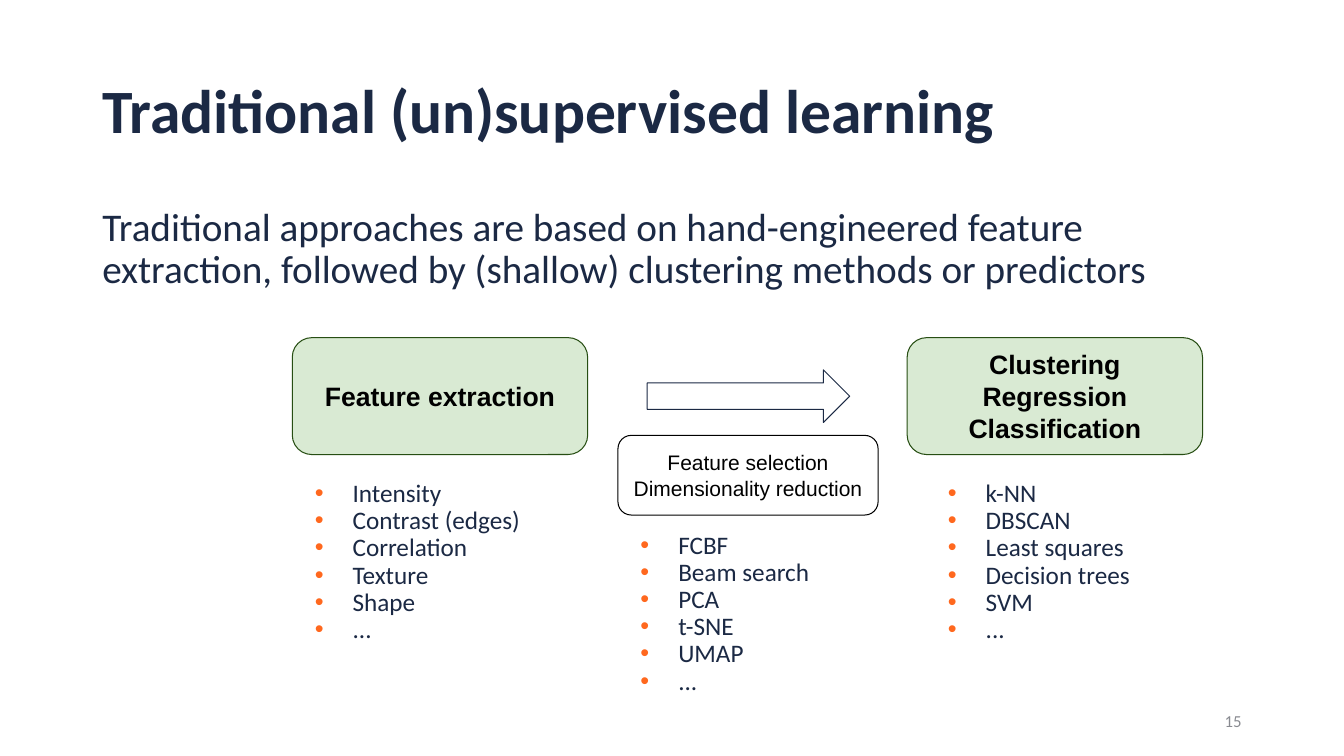
from lxml.etree import SubElement as Sub
from pptx import Presentation
from pptx.dml.color import RGBColor as RGB
from pptx.enum.shapes import MSO_SHAPE as Kind
from pptx.enum.text import MSO_ANCHOR as Anchor, PP_ALIGN as Align
from pptx.oxml.ns import qn
from pptx.util import Pt

COLORS = {
    "navy": "1B2944", "gray": "898B91", "black": "000000", "white": "FFFFFF",
    "mint": "D9EAD3", "green": "274E13", "orange": "FF681E",
}


def put(target, values):
    for name, value in values.items():
        setattr(target, name, value)


class Deck:
    def __init__(self, width, height):
        self.file = Presentation()
        put(self.file, {"slide_width": Pt(width), "slide_height": Pt(height)})
        self.slide = self.file.slides.add_slide(self.file.slide_layouts[6])

    def fill_text(self, shape, lines, size, color="navy", font="Calibri", bold=False,
                  align=Align.LEFT, anchor=Anchor.TOP, space=1.0, pad=3.6, bullet=False):
        frame = shape.text_frame
        put(frame, {
            "word_wrap": True, "vertical_anchor": anchor,
            "margin_left": Pt(7.2), "margin_right": Pt(7.2),
            "margin_top": Pt(pad), "margin_bottom": Pt(pad),
        })
        for i, line in enumerate(lines):
            para = frame.add_paragraph() if i else frame.paragraphs[0]
            put(para, {"alignment": align, "line_spacing": space})
            if bullet:
                self.mark(para)
            run = para.add_run()
            run.text = line
            put(run.font, {"name": font, "size": Pt(size), "bold": bold})
            run.font.color.rgb = RGB.from_string(COLORS[color])

    def mark(self, para):
        """Give a paragraph an orange bullet with a hanging indent."""
        props = para._p.get_or_add_pPr()
        props.set("marL", str(Pt(36)))
        props.set("indent", str(Pt(-27)))
        tint = Sub(props, qn("a:buClr"))
        Sub(tint, qn("a:srgbClr"), val=COLORS["orange"])
        Sub(props, qn("a:buFont"), typeface="Arial")
        Sub(props, qn("a:buChar"), char="•")

    def text(self, box, lines, size, **style):
        shape = self.slide.shapes.add_textbox(*map(Pt, box))
        self.fill_text(shape, lines, size, **style)

    def list(self, box, items):
        self.text(box, items, 18, space=0.9, bullet=True)

    def shape(self, kind, box, fill, line):
        shape = self.slide.shapes.add_shape(kind, *map(Pt, box))
        shape.shadow.inherit = False
        shape.fill.solid()
        shape.fill.fore_color.rgb = RGB.from_string(COLORS[fill])
        shape.line.color.rgb = RGB.from_string(COLORS[line])
        shape.line.width = Pt(0.75)
        return shape

    def step(self, box, lines, size, fill, line, bold=False):
        shape = self.shape(Kind.ROUNDED_RECTANGLE, box, fill, line)
        self.fill_text(shape, lines, size, color="black", font="Arial", bold=bold,
                       align=Align.CENTER, anchor=Anchor.MIDDLE, pad=7.2)


def main():
    deck = Deck(960, 540)
    deck.text((66, 28.8, 828, 104.4), ["Traditional (un)supervised learning"], 44,
              bold=True, anchor=Anchor.MIDDLE, space=0.9)
    deck.text((66, 144.7, 828, 336), [
        "Traditional approaches are based on hand-engineered feature extraction, "
        "followed by (shallow) clustering methods or predictors"], 28, space=0.9)
    deck.text((678, 500.4, 216, 28.8), ["15"], 12, color="gray",
              align=Align.RIGHT, anchor=Anchor.MIDDLE)

    stages = [
        (208.8, ["Feature extraction"]),
        (648, ["Clustering", "Regression", "Classification"]),
    ]
    for left, lines in stages:
        deck.step((left, 241.2, 211, 83.5), lines, 19, "mint", "green", bold=True)
    deck.shape(Kind.RIGHT_ARROW, (462.2, 264.2, 144.7, 37.6), "white", "navy")
    deck.step((441.4, 311, 185.8, 56.9),
              ["Feature selection", "Dimensionality reduction"], 15, "white", "black")

    methods = [
        (208.8, 339.8, 211,
         ["Intensity", "Contrast (edges)", "Correlation", "Texture", "Shape", "..."]),
        (441.4, 376.6, 185.8,
         ["FCBF", "Beam search", "PCA", "t-SNE", "UMAP", "..."]),
        (661, 339.8, 185.8,
         ["k-NN", "DBSCAN", "Least squares", "Decision trees", "SVM", "..."]),
    ]
    for left, top, width, items in methods:
        deck.list((left, top, width, 152.6), items)

    deck.file.save("out.pptx")


if __name__ == "__main__":
    main()
